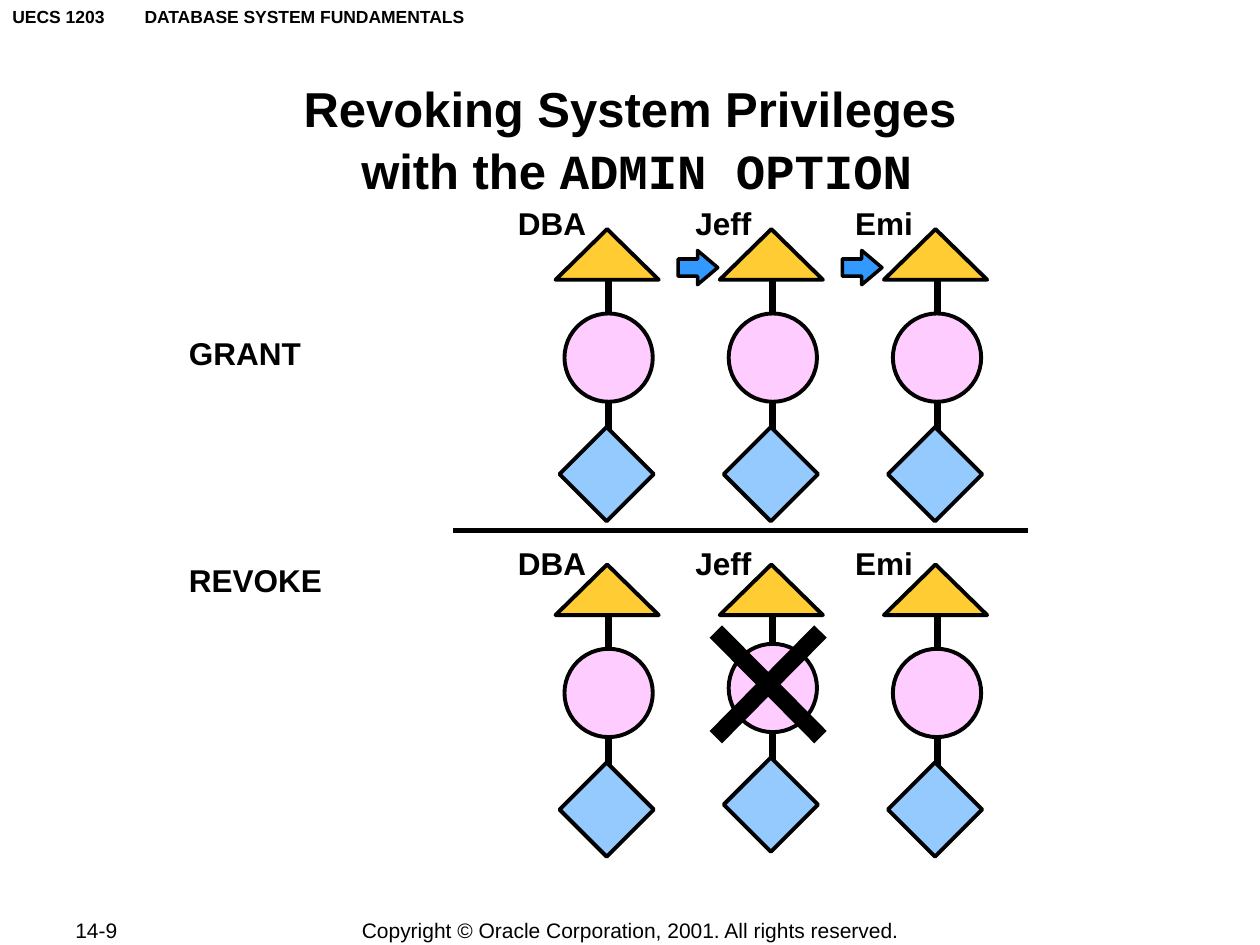
"""Build the slide that compares granting and revoking system privileges."""
from dataclasses import dataclass

from lxml.etree import SubElement
from pptx import Presentation
from pptx.dml.color import RGBColor
from pptx.enum.shapes import MSO_CONNECTOR, MSO_SHAPE
from pptx.enum.text import MSO_ANCHOR, PP_ALIGN
from pptx.oxml.ns import qn
from pptx.util import Cm, Pt


@dataclass(frozen=True)
class Theme:
    ink: RGBColor = RGBColor.from_string("000000")
    head: RGBColor = RGBColor.from_string("FFCC33")
    body: RGBColor = RGBColor.from_string("FFCCFF")
    base: RGBColor = RGBColor.from_string("95CAFF")
    arrow: RGBColor = RGBColor.from_string("3399FF")
    font: str = "Arial"
    code_font: str = "Courier New"
    title_size: int = 28
    label_size: int = 18
    footer_size: int = 12
    header_size: int = 10


theme = Theme()
presentation = Presentation()
presentation.slide_width = Cm(25.4)
presentation.slide_height = Cm(19.05)
slide = presentation.slides.add_slide(presentation.slide_layouts[6])


def add_line(x1, y1, x2, y2, width):
    line = slide.shapes.add_connector(
        MSO_CONNECTOR.STRAIGHT, Cm(x1), Cm(y1), Cm(x2), Cm(y2))
    line.line.color.rgb = theme.ink
    line.line.width = Pt(width)
    SubElement(line._element.spPr, qn("a:effectLst"))


def add_text(text, left, top, width, height, size, bold=True,
             align=PP_ALIGN.LEFT, anchor=MSO_ANCHOR.TOP, wrap=True):
    box = slide.shapes.add_textbox(Cm(left), Cm(top), Cm(width), Cm(height))
    frame = box.text_frame
    frame.word_wrap = wrap
    frame.vertical_anchor = anchor
    paragraph = frame.paragraphs[0]
    paragraph.text = text
    paragraph.alignment = align
    paragraph.font.name = theme.font
    paragraph.font.size = Pt(size)
    paragraph.font.bold = bold
    paragraph.font.color.rgb = theme.ink
    return frame


column_pitch, row_pitch = 3.31, 6.76
shapes = []
for row in range(2):
    for column in range(3):
        dx, dy = column * column_pitch, row * row_pitch
        lift = 0.1 if (row, column) == (1, 1) else 0
        add_line(12.27 + dx, 5.11 + dy - lift, 12.27 + dx, 9.27 + dy - lift, 4)
        shapes += [
            (MSO_SHAPE.ISOSCELES_TRIANGLE, 11.2 + dx, 4.62 + dy, 2.08, 1.02, theme.head, 2.25),
            (MSO_SHAPE.OVAL, 11.38 + dx, 6.32 + dy - lift, 1.78, 1.78, theme.body, 2.25),
            (MSO_SHAPE.DIAMOND, 11.28 + dx, 8.61 + dy - lift, 1.9, 1.9, theme.base, 2.25),
        ]
for gap in range(2):
    shapes.append((MSO_SHAPE.RIGHT_ARROW, 13.67 + gap * column_pitch, 5.05,
                   0.8, 0.69, theme.arrow, 2))

for kind, left, top, width, height, fill, line_width in shapes:
    shape = slide.shapes.add_shape(kind, Cm(left), Cm(top), Cm(width), Cm(height))
    shape.shadow.inherit = False
    shape.fill.solid()
    shape.fill.fore_color.rgb = fill
    shape.line.color.rgb = theme.ink
    shape.line.width = Pt(line_width)
    if kind == MSO_SHAPE.RIGHT_ARROW:
        shape.adjustments[1] = 0.59

add_line(9.14, 10.69, 20.73, 10.69, 3)
add_line(14.43, 12.73, 16.54, 14.86, 10)
add_line(16.54, 12.73, 14.43, 14.86, 10)

for top in (3.99, 10.85):
    for name, left, width in (("DBA", 10.19, 1.96), ("Jeff", 13.77, 1.65), ("Emi", 16.99, 1.7)):
        add_text(name, left, top, width, 1.02, theme.label_size)
for action, top, width in (("GRANT", 6.6, 2.77), ("REVOKE", 11.18, 3.2)):
    add_text(action, 3.56, top, width, 1.02, theme.label_size, wrap=False)

title = add_text("Revoking System Privileges\v with the ", 2.54, 1.5, 20.32, 2.44,
                 theme.title_size, align=PP_ALIGN.CENTER)
title.margin_left = title.margin_right = title.margin_top = title.margin_bottom = Cm(0.03)
title_paragraph = title.paragraphs[0]
title_paragraph.line_spacing = 1.05
option = title_paragraph.add_run()
option.text = "ADMIN OPTION"
option.font.name = theme.code_font

add_text("UECS 1203", 0, 0, 2.74, 0.69, theme.header_size)
add_text("DATABASE SYSTEM FUNDAMENTALS", 2.11, 0, 8.05, 0.69,
         theme.header_size, align=PP_ALIGN.CENTER)
add_text("14-9", 1.27, 18.49, 2.69, 0.52, theme.footer_size,
         bold=False, anchor=MSO_ANCHOR.MIDDLE)
add_text("Copyright © Oracle Corporation, 2001. All rights reserved.",
         7.01, 18.49, 11.4, 0.52, theme.footer_size, bold=False,
         align=PP_ALIGN.CENTER, anchor=MSO_ANCHOR.MIDDLE, wrap=False)

presentation.save("out.pptx")
